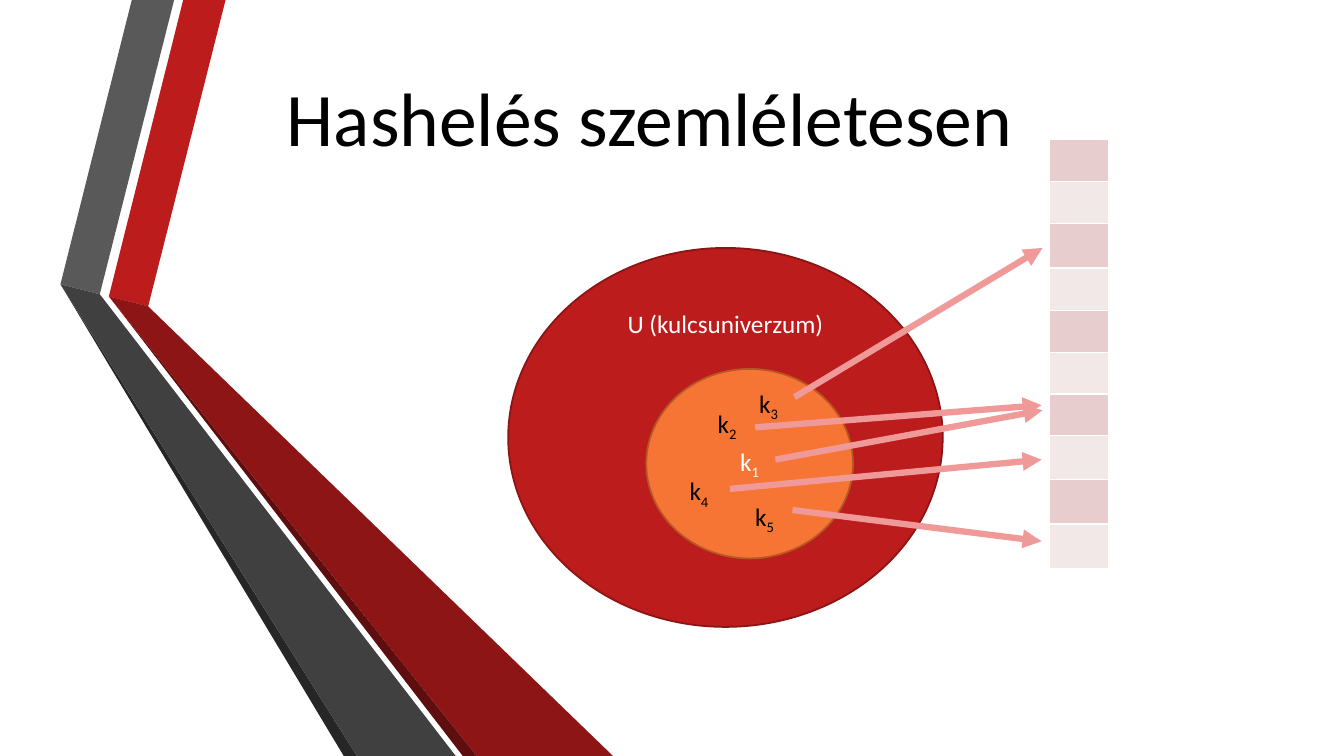
from dataclasses import dataclass

from lxml.etree import SubElement
from pptx import Presentation
from pptx.dml.color import RGBColor
from pptx.enum.shapes import MSO_CONNECTOR, MSO_SHAPE
from pptx.enum.text import MSO_ANCHOR, PP_ALIGN
from pptx.oxml.ns import qn
from pptx.util import Inches, Pt


@dataclass(frozen=True)
class Theme:
    font: str = "Calibri"
    title_size: int = 54
    body_size: int = 18
    black: str = "000000"
    white: str = "FFFFFF"
    red: str = "BC1C1C"
    red_edge: str = "8B1515"
    red_dark: str = "8D1515"
    red_deep: str = "5E0E0E"
    gray: str = "595959"
    gray_dark: str = "404040"
    gray_deep: str = "262626"
    orange: str = "F67534"
    orange_edge: str = "B65726"
    arrow: str = "F09999"
    slots: tuple = ("E7CDCD", "F3E8E8")
    edge_width: float = 1.25
    arrow_width: float = 4.5
    border_width: float = 1


class SlideBuilder:
    def __init__(self, slide, theme):
        self.shapes = slide.shapes
        self.theme = theme

    def paint(self, format_part, color):
        format_part.solid()
        format_part.fore_color.rgb = RGBColor.from_string(color)

    def fill_frame(self, frame, text, color, size, align, anchor, subscript=""):
        frame.vertical_anchor = anchor
        para = frame.paragraphs[0]
        para.alignment = align
        for part in filter(None, (text, subscript)):
            span = para.add_run()
            span.text = part
            span.font.name = self.theme.font
            span.font.size = Pt(size)
            span.font.color.rgb = RGBColor.from_string(color)
        if subscript:
            span._r.get_or_add_rPr().set("baseline", "-25000")

    def ribbon(self, points, color):
        start, *rest = [(Inches(x), Inches(y)) for x, y in points]
        builder = self.shapes.build_freeform(*start)
        builder.add_line_segments(rest, close=True)
        shape = builder.convert_to_shape()
        shape.shadow.inherit = False
        self.paint(shape.fill, color)
        shape.line.fill.background()

    def text(self, place, text, size, align=PP_ALIGN.LEFT,
             anchor=MSO_ANCHOR.TOP, subscript="", wrap=True):
        box = self.shapes.add_textbox(*map(Inches, place))
        box.text_frame.word_wrap = wrap
        self.fill_frame(box.text_frame, text, self.theme.black, size, align, anchor, subscript)

    def ellipse(self, place, fill, edge, text, anchor, subscript=""):
        shape = self.shapes.add_shape(MSO_SHAPE.OVAL, *map(Inches, place))
        shape.shadow.inherit = False
        self.paint(shape.fill, fill)
        self.paint(shape.line.fill, edge)
        shape.line.width = Pt(self.theme.edge_width)
        self.fill_frame(shape.text_frame, text, self.theme.white, self.theme.body_size,
                        PP_ALIGN.CENTER, anchor, subscript)

    def arrow(self, start, end):
        ends = map(Inches, (*start, *end))
        connector = self.shapes.add_connector(MSO_CONNECTOR.STRAIGHT, *ends)
        self.paint(connector.line.fill, self.theme.arrow)
        connector.line.width = Pt(self.theme.arrow_width)
        SubElement(connector.get_or_add_ln(), qn("a:tailEnd"), type="triangle")
        SubElement(connector.element.spPr, qn("a:effectLst"))

    def slot_column(self, left, top, width, heights):
        place = map(Inches, (left, top, width, sum(heights)))
        table = self.shapes.add_table(len(heights), 1, *place).table
        for index, height in enumerate(heights):
            table.rows[index].height = Inches(height)
            cell = table.cell(index, 0)
            self.border(cell)
            self.paint(cell.fill, self.theme.slots[index % 2])

    def border(self, cell):
        properties = cell._tc.get_or_add_tcPr()
        for side in ("lnL", "lnR", "lnT", "lnB"):
            line = SubElement(properties, qn(f"a:{side}"), w=str(Pt(self.theme.border_width)))
            fill = SubElement(line, qn("a:solidFill"))
            SubElement(fill, qn("a:srgbClr"), val=self.theme.white)


def main():
    theme = Theme()
    deck = Presentation()
    deck.slide_width, deck.slide_height = Inches(13.33), Inches(7.5)
    page = SlideBuilder(deck.slides.add_slide(deck.slide_layouts[6]), theme)

    ribbons = (
        (theme.red, [(1.08, 2.94), (1.47, 3.04), (2.24, -0.01), (1.82, -0.01)]),
        (theme.gray, [(0.99, 2.92), (1.73, -0.01), (1.31, -0.01), (0.6, 2.82)]),
        (theme.gray_deep, [(0.6, 2.82), (3.41, 7.5), (3.54, 7.5)]),
        (theme.red_deep, [(4.73, 7.5), (1.08, 2.94), (4.59, 7.5)]),
        (theme.red_dark, [(1.08, 2.94), (4.73, 7.5), (6.08, 7.5), (1.47, 3.04)]),
        (theme.gray_dark, [(4.52, 7.5), (1.06, 3.01), (0.99, 2.92), (0.6, 2.82), (3.54, 7.5)]),
    )
    for color, points in ribbons:
        page.ribbon(points, color)

    page.text((2.11, 0.6, 8.03, 1.05), "Hashelés szemléletesen", theme.title_size,
              PP_ALIGN.RIGHT, MSO_ANCHOR.BOTTOM)
    slot_heights = (0.42, 0.42, 0.44, 0.42, 0.42, 0.41, 0.41, 0.44, 0.44, 0.44)
    page.slot_column(10.41, 1.38, 0.59, slot_heights)

    page.ellipse((5.04, 2.46, 4.31, 3.76), theme.red, theme.red_edge,
                 "U (kulcsuniverzum)", MSO_ANCHOR.TOP)
    page.ellipse((6.41, 3.66, 2.05, 1.88), theme.orange, theme.orange_edge,
                 "k", MSO_ANCHOR.MIDDLE, "1")

    keys = (("2", 7.02, 4), ("3", 7.43, 3.8), ("4", 6.74, 4.67), ("5", 7.39, 4.92))
    for number, left, top in keys:
        page.text((left, top, 0.42, 0.71), "k", theme.body_size, subscript=number, wrap=False)

    arrows = (
        ((7.88, 3.94), (10.34, 2.46)),
        ((7.69, 4.56), (10.34, 4.07)),
        ((7.86, 5.06), (10.33, 5.37)),
        ((7.49, 4.24), (10.33, 4.02)),
        ((7.24, 4.85), (10.33, 4.56)),
    )
    for start, end in arrows:
        page.arrow(start, end)

    deck.save("out.pptx")


if __name__ == "__main__":
    main()
